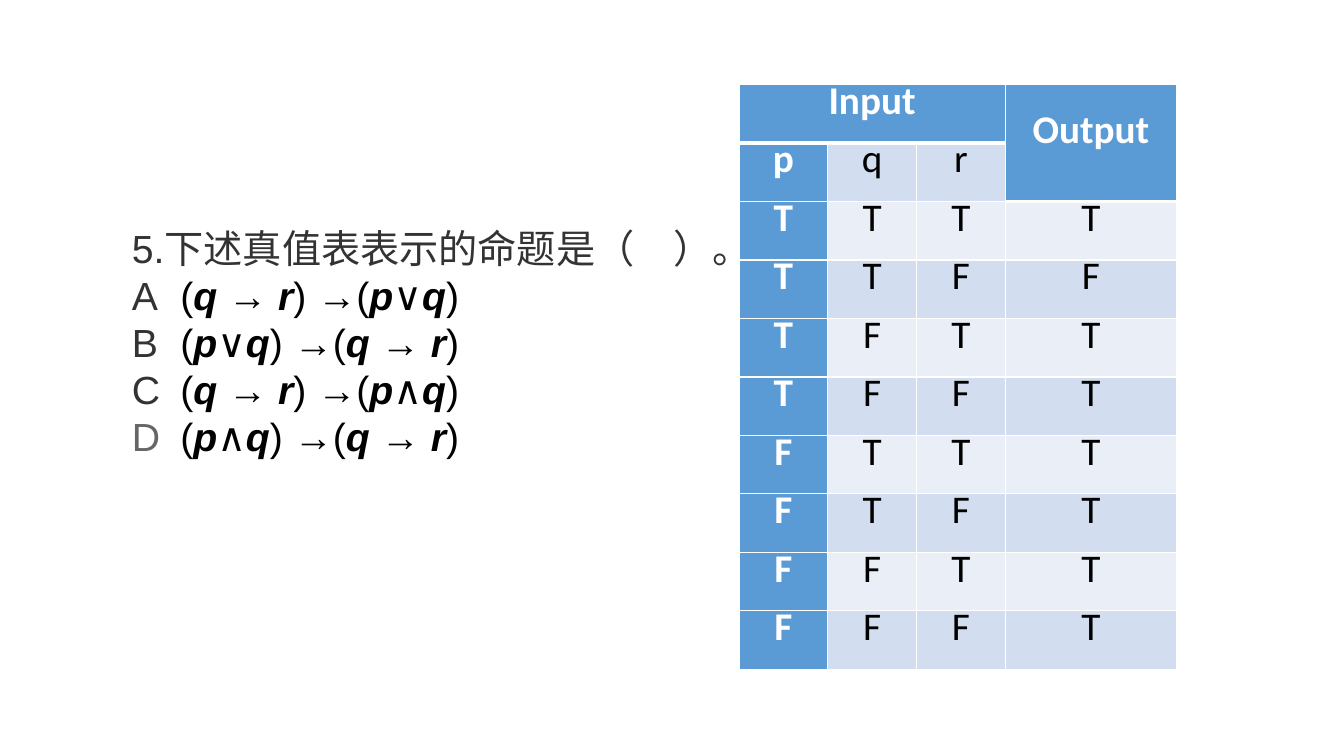
from itertools import groupby
from lxml import etree
from pptx import Presentation
from pptx.dml.color import RGBColor
from pptx.enum import text as t
from pptx.oxml import ns
from pptx.util import Inches, Pt

QUESTION = "5.下述真值表表示的命题是（　）。"
OPTIONS = [
    ("A", "333333", "(q → r) →(p∨q)"),
    ("B", "333333", "(p∨q) →(q → r)"),
    ("C", "333333", "(q → r) →(p∧q)"),
    ("D", "666666", "(p∧q) →(q → r)"),
]
TABLE = [
    ("Input", "", "", "Output"),
    ("p", "q", "r", ""),
    ("T", "T", "T", "T"),
    ("T", "T", "F", "F"),
    ("T", "F", "T", "T"),
    ("T", "F", "F", "T"),
    ("F", "T", "T", "T"),
    ("F", "T", "F", "T"),
    ("F", "F", "T", "T"),
    ("F", "F", "F", "T"),
]
COL_WIDTHS = [0.88, 0.88, 0.88, 1.7]
ROW_HEIGHT = 0.58
HEADER, BANDS = "5B9BD5", ("EAEFF7", "D2DEEF")
WHITE, BLACK = "FFFFFF", "000000"


def rgb(value):
    return RGBColor.from_string(value)


def add_run(p, words, color, font="Arial", bold=False, italic=False):
    r = p.add_run()
    r.text = words
    r.font.size = Pt(28)
    r.font.name = font
    r.font.color.rgb = rgb(color)
    r.font.bold = bold
    r.font.italic = italic


def formula_style(char):
    font = "Calibri" if char in "∨∧" else "Arial"
    return font, char in "pqr → ", char in "pqr"


def add_border(cell, side, points):
    ln = etree.SubElement(cell._tc.get_or_add_tcPr(), ns.qn("a:ln" + side), w=str(Pt(points)))
    fill = etree.SubElement(ln, ns.qn("a:solidFill"))
    etree.SubElement(fill, ns.qn("a:srgbClr"), val=WHITE)


def add_truth_table(s):
    width, height = sum(COL_WIDTHS), ROW_HEIGHT * len(TABLE)
    frame = s.shapes.add_table(len(TABLE), len(COL_WIDTHS), Inches(7.33), Inches(0.84),
                               Inches(width), Inches(height))
    table = frame.table
    table.first_row = table.horz_banding = False
    for column, col_width in zip(table.columns, COL_WIDTHS):
        column.width = Inches(col_width)
    for row in table.rows:
        row.height = Inches(ROW_HEIGHT)
    table.cell(0, 0).merge(table.cell(0, 2))
    table.cell(0, 3).merge(table.cell(1, 3))

    for i, row in enumerate(TABLE):
        for j, words in enumerate(row):
            cell = table.cell(i, j)
            last_header_row = 1 if j == 3 else 0
            is_header = j == 0 or i <= last_header_row
            add_border(cell, "L", 1)
            add_border(cell, "R", 1)
            add_border(cell, "T", 3 if i == last_header_row + 1 else 1)
            add_border(cell, "B", 3 if i == last_header_row else 1)
            cell.fill.solid()
            cell.fill.fore_color.rgb = rgb(HEADER if is_header else BANDS[i % 2])
            cell.vertical_anchor = t.MSO_ANCHOR.MIDDLE
            cell.margin_left = cell.margin_right = Inches(0.07)
            cell.margin_top = cell.margin_bottom = 0
            p = cell.text_frame.paragraphs[0]
            p.alignment = t.PP_ALIGN.CENTER
            p.line_spacing = Pt(15.8)
            if words:
                add_run(p, words, WHITE if is_header else BLACK, "Calibri", is_header)


def add_question(s):
    sp = s.shapes.add_textbox(Inches(1.21), Inches(2.16), Inches(6.68), Inches(2.46))
    tf = sp.text_frame
    tf.word_wrap = True
    tf.auto_size = t.MSO_AUTO_SIZE.SHAPE_TO_FIT_TEXT
    tf.vertical_anchor = t.MSO_ANCHOR.MIDDLE
    add_run(tf.paragraphs[0], QUESTION, "333333")
    for letter, color, formula in OPTIONS:
        p = tf.add_paragraph()
        tabs = etree.SubElement(p._p.get_or_add_pPr(), ns.qn("a:tabLst"))
        etree.SubElement(tabs, ns.qn("a:tab"), pos=str(Inches(0.48)), algn="l")
        add_run(p, letter + "\t", color)
        for style, chars in groupby(formula, formula_style):
            add_run(p, "".join(chars), BLACK, *style)


def main():
    prs = Presentation()
    prs.slide_width, prs.slide_height = Inches(13.33), Inches(7.5)
    s = prs.slides.add_slide(prs.slide_layouts[6])
    add_truth_table(s)
    add_question(s)
    prs.save("out.pptx")


if __name__ == "__main__":
    main()
